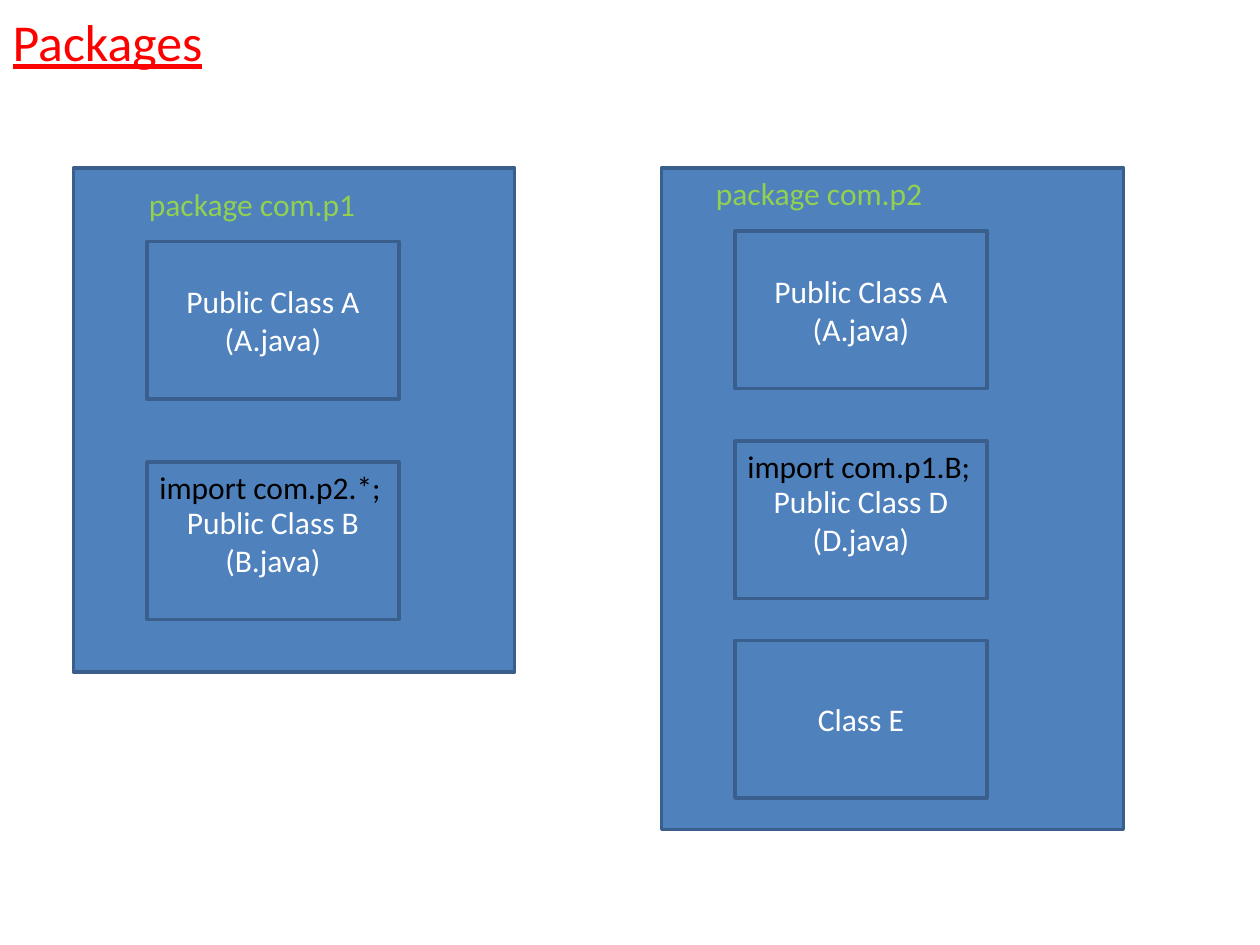
"""Build a slide showing the classes and imports of two Java packages."""
from pptx import Presentation
from pptx.dml.color import RGBColor
from pptx.enum.shapes import MSO_SHAPE
from pptx.enum.text import MSO_ANCHOR, MSO_AUTO_SIZE, PP_ALIGN
from pptx.util import Pt

RECTANGLE = MSO_SHAPE.RECTANGLE
TOP, MIDDLE = MSO_ANCHOR.TOP, MSO_ANCHOR.MIDDLE
LEFT, CENTER, JUSTIFY = PP_ALIGN.LEFT, PP_ALIGN.CENTER, PP_ALIGN.JUSTIFY
NO_AUTOFIT, GROW = MSO_AUTO_SIZE.NONE, MSO_AUTO_SIZE.SHAPE_TO_FIT_TEXT
PX = 7620
BOX_WIDTH, BOX_HEIGHT = 240, 150
LABEL_HEIGHT = 48


def color(value):
    return RGBColor.from_string(value)


def write(frame, lines, ink, align, size=18):
    frame.word_wrap = True
    for index, line in enumerate(lines):
        paragraph = frame.paragraphs[0] if index == 0 else frame.add_paragraph()
        paragraph.alignment = align
        run = paragraph.add_run()
        run.text = line
        run.font.name = "Calibri"
        run.font.size = Pt(size)
        run.font.color.rgb = color(ink)


prs = Presentation()
prs.slide_width, prs.slide_height = 1200 * PX, 900 * PX
slide = prs.slides.add_slide(prs.slide_layouts[5])

heading = slide.shapes.title
heading.left, heading.top, heading.width, heading.height = 0, 0, 1130 * PX, 60 * PX
heading.text_frame.auto_size = NO_AUTOFIT
heading.text_frame.vertical_anchor = TOP
heading.text_frame.margin_top = 9 * PX
write(heading.text_frame, ["Packages"], "FF0000", JUSTIFY, 29.6)
heading.text_frame.paragraphs[0].runs[0].font.underline = True

packages = [
    {
        "panel": (70, 160, 420, 480),
        "label": ("package com.p1", 130, 170),
        "box_left": 140,
        "classes": [
            (230, ["Public Class A", "(A.java)"], None),
            (440, ["Public Class B", "(B.java)"], "import com.p2.*;"),
        ],
    },
    {
        "panel": (630, 160, 440, 630),
        "label": ("package com.p2", 670, 160),
        "box_left": 700,
        "classes": [
            (220, ["Public Class A", "(A.java)"], None),
            (420, ["Public Class D", "(D.java)"], "import com.p1.B;"),
            (610, ["Class E"], None),
        ],
    },
]

for package in packages:
    box_left = package["box_left"]
    rectangles = [(package["panel"], [])]
    package_name, label_left, label_top = package["label"]
    labels = [(package_name, label_left, label_top, 360, "92D050")]
    for top, class_lines, import_line in package["classes"]:
        rectangles.append(((box_left, top, BOX_WIDTH, BOX_HEIGHT), class_lines))
        if import_line:
            labels.append((import_line, box_left, top, 250, "000000"))

    for bounds, class_lines in rectangles:
        box = slide.shapes.add_shape(RECTANGLE, *(side * PX for side in bounds))
        box.shadow.inherit = False
        box.fill.solid()
        box.fill.fore_color.rgb = color("4F81BD")
        box.line.color.rgb = color("3A5F8C")
        box.line.width = Pt(2)
        box.text_frame.vertical_anchor = MIDDLE
        write(box.text_frame, class_lines, "FFFFFF", CENTER)

    for wording, left, top, width, ink in labels:
        label = slide.shapes.add_textbox(left * PX, top * PX, width * PX, LABEL_HEIGHT * PX)
        label.text_frame.auto_size = GROW
        write(label.text_frame, [wording], ink, LEFT)

prs.save("out.pptx")
